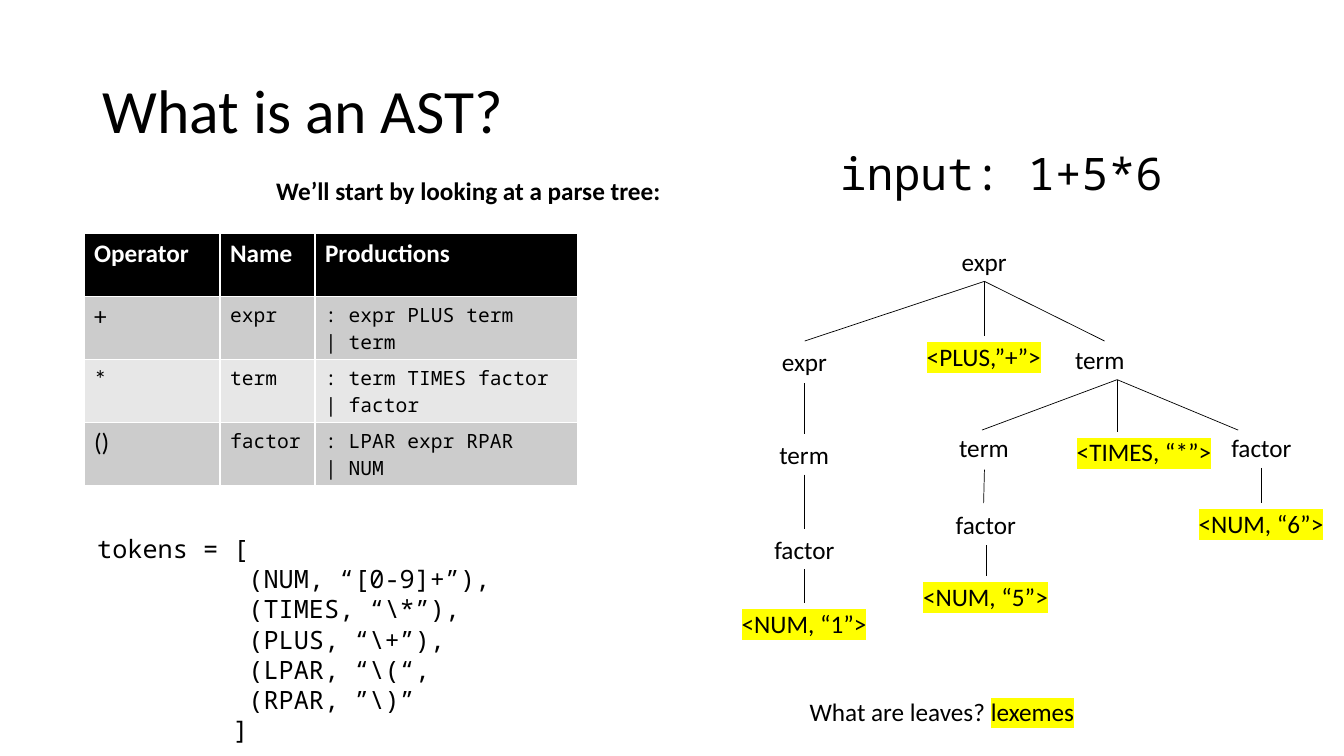
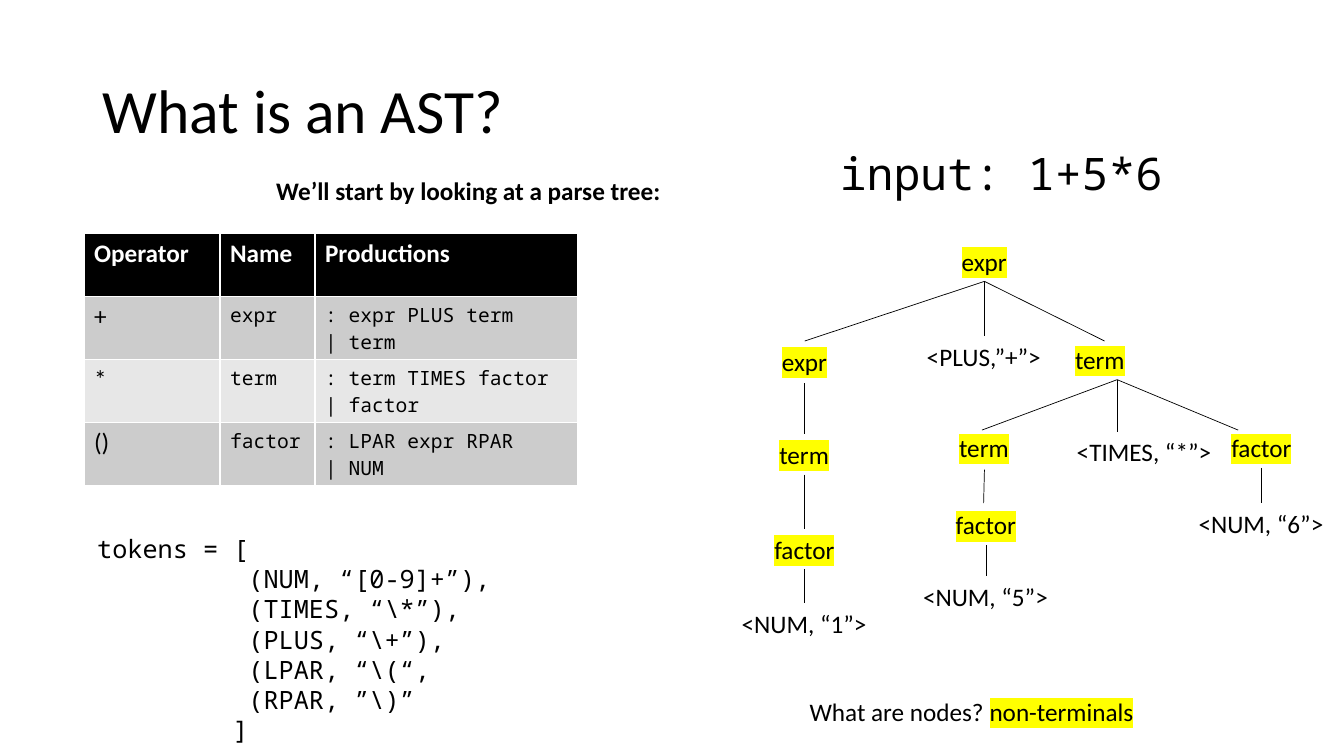
from dataclasses import dataclass
from typing import Optional

from lxml import etree
from pptx import Presentation
from pptx.dml.color import RGBColor
from pptx.enum.shapes import MSO_CONNECTOR
from pptx.enum.text import MSO_ANCHOR, MSO_AUTO_SIZE, PP_ALIGN
from pptx.oxml.ns import qn
from pptx.util import Inches, Pt

# Shared style
BLACK = RGBColor(0x00, 0x00, 0x00)
WHITE = RGBColor(0xFF, 0xFF, 0xFF)
DARK_BAND = RGBColor(0xCC, 0xCC, 0xCC)
LIGHT_BAND = RGBColor(0xE7, 0xE7, 0xE7)
YELLOW = RGBColor(0xFF, 0xFF, 0x00)
SANS = "Calibri"
MONO = "Noto Sans Mono"
BODY_SIZE = 18
MONO_ADVANCE = 0.6  # character width as a share of the font size

# Grid of 16 columns by 9 rows with square cells
SLIDE_WIDTH = Inches(13.333)
SLIDE_HEIGHT = Inches(7.5)
CELL = SLIDE_WIDTH / 16
LABEL_HEIGHT = 0.48
LABEL_WIDTHS = {"expr": 0.78, "term": 0.84, "factor": 0.96,
                "<PLUS,”+”>": 1.61, "<TIMES, “*”>": 1.86}
NUMBER_WIDTH = 1.74


@dataclass
class Node:
    label: str
    parent: Optional[str]
    center: float
    top: float
    arrive: Optional[tuple] = None  # end of the line from the parent
    depart: Optional[tuple] = None  # start of the lines to the children

    def entry(self):
        return self.arrive or (self.center, self.top)

    def exit(self):
        return self.depart or (self.center, self.top + LABEL_HEIGHT)


TREE = {
    "root": Node("expr", None, 11.72, 2.87),
    # Left operand
    "left expr": Node("expr", "root", 9.58, 4.06, depart=(9.58, 4.56)),
    "left term": Node("term", "left expr", 9.58, 5.17),
    "left factor": Node("factor", "left term", 9.58, 6.3),
    "one": Node("<NUM, “1”>", "left factor", 9.58, 7.18),
    # Sum and right operand
    "plus": Node("<PLUS,”+”>", "root", 11.72, 4),
    "product": Node("term", "root", 13.1, 4.04, (13.15, 4.06), (13.3, 4.52)),
    "times": Node("<TIMES, “*”>", "product", 13.63, 5.14, (13.3, 5.14)),
    "middle term": Node("term", "product", 11.72, 5.09, (11.69, 5.12), (11.72, 5.59)),
    "middle factor": Node("factor", "middle term", 11.74, 6.01, (11.71, 5.99)),
    "five": Node("<NUM, “5”>", "middle factor", 11.74, 6.86),
    "right factor": Node("factor", "product", 15.02, 5.09, (14.74, 5.12)),
    "six": Node("<NUM, “6”>", "right factor", 15.02, 5.99),
}

GRAMMAR = [
    ("Operator", "Name", "Productions"),
    ("+", "expr", ": expr PLUS term\v| term"),
    ("*", "term", ": term TIMES factor\v| factor"),
    ("()", "factor", ": LPAR expr RPAR\v| NUM"),
]
GRAMMAR_COLUMNS = (1.62, 1.13, 3.13)
GRAMMAR_ROW = 0.75

# Indent in characters, then the line
TOKEN_LINES = [
    (0, "tokens = ["),
    (10, "(NUM, “[0-9]+”),"),
    (10, "(TIMES, “\\*”),"),
    (10, "(PLUS, “\\+”),"),
    (10, "(LPAR, “\\(“,"),
    (10, "(RPAR, ”\\)”"),
    (9, "]"),
]


def grid(*cells):
    return [round(cell * CELL) for cell in cells]


def set_font(paragraph, size=BODY_SIZE, name=SANS, color=BLACK, bold=False):
    font = paragraph.font
    font.size, font.name, font.bold = Pt(size), name, bold
    font.color.rgb = color


def highlight(run):
    mark = etree.SubElement(run.font._element if hasattr(run.font, "_element")
                            else run._r.get_or_add_rPr(), qn("a:highlight"))
    etree.SubElement(mark, qn("a:srgbClr"), val=str(YELLOW))


def add_text(slide, place, runs, wrap=False, **font):
    """Place one line made of (text, marked) runs."""
    box = slide.shapes.add_textbox(*grid(*place))
    frame = box.text_frame
    frame.word_wrap = wrap
    frame.auto_size = MSO_AUTO_SIZE.SHAPE_TO_FIT_TEXT
    paragraph = frame.paragraphs[0]
    set_font(paragraph, **font)
    for text, marked in runs:
        run = paragraph.add_run()
        run.text = text
        if marked:
            highlight(run)
    return frame


def add_title(slide, text):
    title = slide.shapes.title
    title.left, title.top, title.width, title.height = grid(1.1, 0.48, 13.8, 1.74)
    title.text_frame.text = text
    title.text_frame.vertical_anchor = MSO_ANCHOR.MIDDLE
    paragraph = title.text_frame.paragraphs[0]
    paragraph.alignment = PP_ALIGN.LEFT
    paragraph.line_spacing = 0.9
    set_font(paragraph, size=44)


def add_branch(slide, start, end):
    line = slide.shapes.add_connector(MSO_CONNECTOR.STRAIGHT, *grid(*start, *end))
    line.line.color.rgb = BLACK
    line.line.width = Pt(0.5)
    etree.SubElement(line._element.spPr, qn("a:effectLst"))


def add_tree(slide, mark_leaves):
    parents = {node.parent for node in TREE.values()}
    for key, node in TREE.items():
        if node.parent:
            add_branch(slide, TREE[node.parent].exit(), node.entry())
        width = LABEL_WIDTHS.get(node.label, NUMBER_WIDTH)
        is_leaf = key not in parents
        add_text(slide, (node.center - width / 2, node.top, width, LABEL_HEIGHT),
                 [(node.label, is_leaf == mark_leaves)])


def add_grammar(slide):
    width, height = sum(GRAMMAR_COLUMNS), GRAMMAR_ROW * len(GRAMMAR)
    table = slide.shapes.add_table(len(GRAMMAR), len(GRAMMAR_COLUMNS),
                                   *grid(1, 2.78, width, height)).table
    for column, share in zip(table.columns, GRAMMAR_COLUMNS):
        column.width = grid(share)[0]
    for row, texts in enumerate(GRAMMAR):
        header = row == 0
        band = BLACK if header else DARK_BAND if row % 2 else LIGHT_BAND
        for column, text in enumerate(texts):
            cell = table.cell(row, column)
            cell.fill.solid()
            cell.fill.fore_color.rgb = band
            cell.text_frame.text = text
            paragraph = cell.text_frame.paragraphs[0]
            if header:
                set_font(paragraph, color=WHITE, bold=True)
            elif column == 0:
                set_font(paragraph)
            else:
                set_font(paragraph, size=14, name=MONO)


def add_tokens(slide):
    box = slide.shapes.add_textbox(*grid(1.04, 6.29, 4.94, 2.66))
    frame = box.text_frame
    frame.word_wrap = True
    frame.text = "\n".join(text for _, text in TOKEN_LINES)
    for paragraph, (indent, _) in zip(frame.paragraphs, TOKEN_LINES):
        set_font(paragraph, name=MONO)
        margin = Pt(indent * MONO_ADVANCE * BODY_SIZE)
        paragraph._p.get_or_add_pPr().set("marL", str(margin))


def add_parse_slide(presentation, question, answer, mark_leaves):
    slide = presentation.slides.add_slide(presentation.slide_layouts[5])
    add_title(slide, "What is an AST?")
    add_tree(slide, mark_leaves)
    add_text(slide, (9.88, 1.67, 4.13, 0.77), [("input: 1+5*6", False)],
             size=32, name=MONO)
    add_text(slide, (9.52, 8.23, 4.21, LABEL_HEIGHT),
             [(question + " ", False), (answer, True)], wrap=True)
    add_grammar(slide)
    add_text(slide, (3.17, 2.03, 4.86, LABEL_HEIGHT),
             [("We’ll start by looking at a parse tree:", False)], bold=True)
    add_tokens(slide)


def main():
    presentation = Presentation()
    presentation.slide_width = SLIDE_WIDTH
    presentation.slide_height = SLIDE_HEIGHT
    add_parse_slide(presentation, "What are leaves?", "lexemes", mark_leaves=True)
    add_parse_slide(presentation, "What are nodes?", "non-terminals", mark_leaves=False)
    presentation.save("out.pptx")


main()
